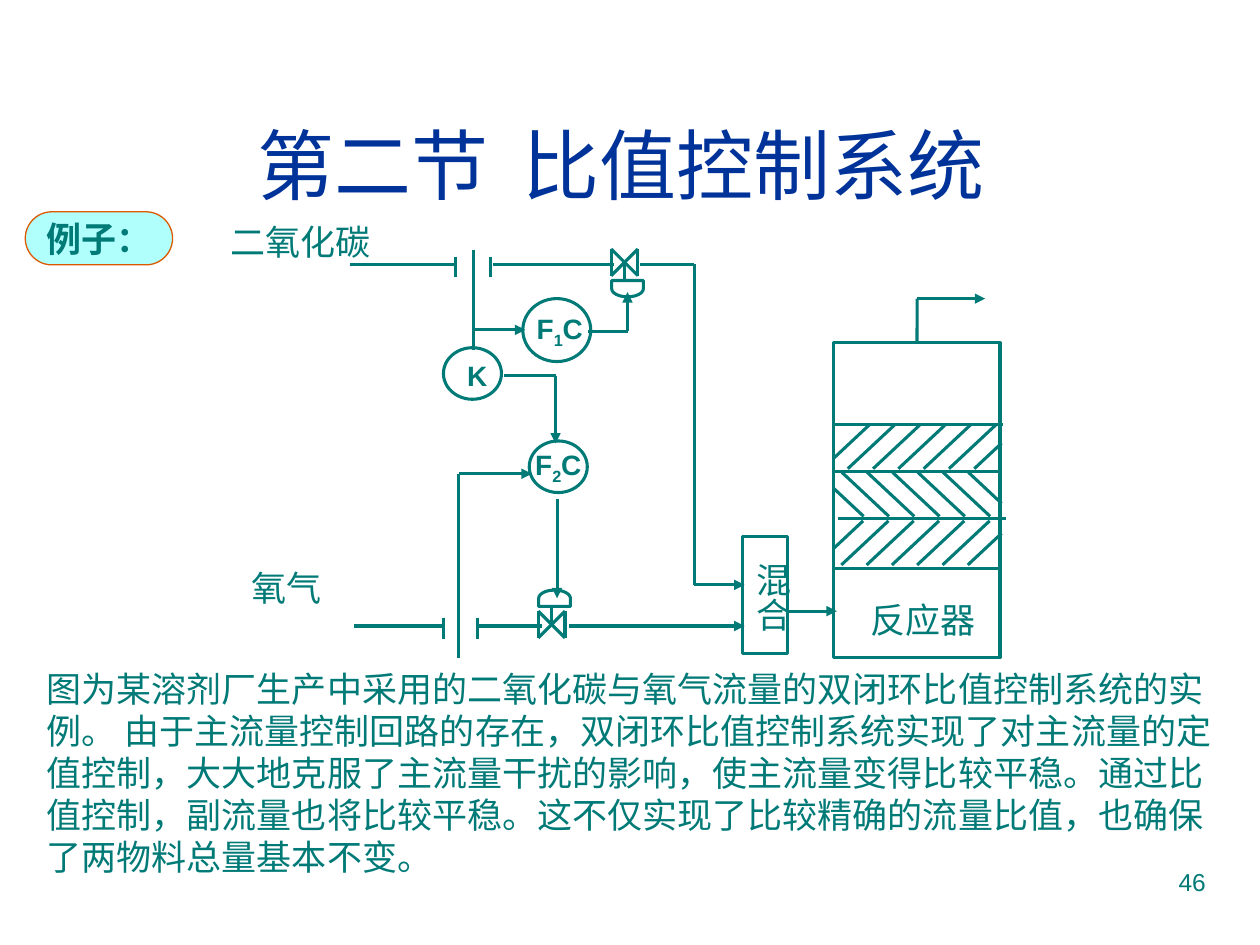
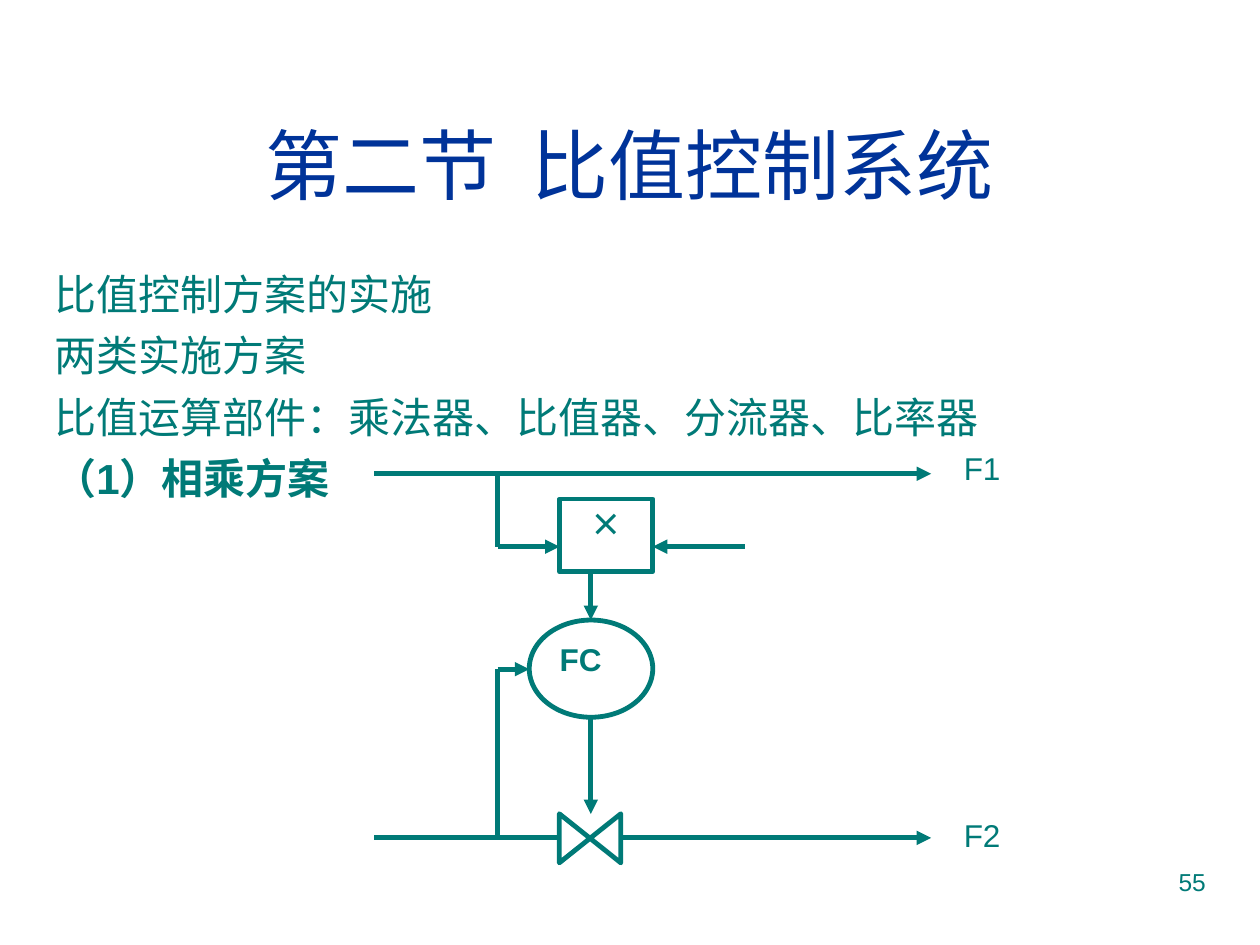
import pptx
import pptx.util
import pptx.dml.color
import pptx.enum.shapes
import pptx.enum.text
import pptx.oxml
import pptx.oxml.ns

Cm, Pt = pptx.util.Cm, pptx.util.Pt
RGB = pptx.dml.color.RGBColor
KIND = pptx.enum.shapes.MSO_SHAPE
ALIGN = pptx.enum.text.PP_ALIGN
ANCHOR = pptx.enum.text.MSO_ANCHOR

TEAL = RGB(0x00, 0x7A, 0x77)
NAVY = RGB(0x00, 0x33, 0x99)
MINT = RGB(0xB1, 0xFF, 0xFD)
RUST = RGB(0xDC, 0x59, 0x00)
WHITE = RGB(0xFF, 0xFF, 0xFF)
LATIN, HAN = "Arial", "Noto Sans CJK SC"
THIN, BOLD = 1.75, 2.75
WALLS = (16.81, 20.19)  # left and right wall of the reactor


def node(tag, **attrs):
    item = pptx.oxml.parse_xml(f"<a:{tag} {pptx.oxml.ns.nsdecls('a')}/>")
    for key, value in attrs.items():
        item.set(key, value)
    return item


def write(frame, *lines, size=20, color=TEAL, bold=(), align=ALIGN.LEFT, anchor=ANCHOR.TOP,
          wrap=True, font=LATIN, sub="", gap=0, pitch=None, plain=False):
    """Fill a text frame; bold lists line numbers, sub is the part set as a subscript."""
    frame.word_wrap = wrap
    frame.auto_size = pptx.enum.text.MSO_AUTO_SIZE.NONE
    frame.vertical_anchor = anchor
    for n, line in enumerate(lines):
        para = frame.add_paragraph() if n else frame.paragraphs[0]
        if plain:
            props = para._p.get_or_add_pPr()
            props.set("marL", "0")
            props.set("indent", "0")
            props.append(node("buNone"))
        para.alignment = align
        para.space_before = Pt(gap if n else 0)
        if pitch:
            para.line_spacing = Pt(pitch)
        for part in line.partition(sub) if sub else [line]:
            run = para.add_run()
            run.text = part
            run.font.size = Pt(size)
            run.font.bold = n in bold
            run.font.color.rgb = color
            run.font.name = font
            props = run._r.get_or_add_rPr()
            props.append(node("ea", typeface=HAN))
            if part == sub:
                props.set("baseline", "-25000")


def label(slide, box, *lines, **style):
    item = slide.shapes.add_textbox(*map(Cm, box))
    write(item.text_frame, *lines, **style)
    return item


def shape(slide, kind, box, width=THIN, fill=None, line=TEAL, turn=0):
    item = slide.shapes.add_shape(kind, *map(Cm, box))
    item.shadow.inherit = False
    if fill is None:
        item.fill.background()
    else:
        item.fill.solid()
        item.fill.fore_color.rgb = fill
    item.line.color.rgb = line
    item.line.width = Pt(width)
    item.rotation = turn % 360
    return item


def pipe(slide, *points, arrow=False, width=THIN):
    """Straight lines through the points; the last may end in an arrowhead."""
    links = []
    for start, end in zip(points, points[1:]):
        link = slide.shapes.add_connector(
            pptx.enum.shapes.MSO_CONNECTOR.STRAIGHT, *map(Cm, start + end))
        link.line.color.rgb = TEAL
        link.line.width = Pt(width)
        link.element.spPr.append(node("effectLst"))
        links.append(link)
    if arrow:
        links[-1].line._get_or_add_ln().append(node("tailEnd", type="triangle"))
    return links


def plates(slide, x, y, tall):
    """The two ticks of an orifice plate."""
    for left in (x, x + 0.69):
        pipe(slide, (left, y), (left, y + tall))


def valve(slide, x, y, side):
    """Control valve; side is 1 with the actuator below, -1 above."""
    span, mid = 0.54, y + 0.27
    for left, right in ((x, x + span), (x + span, x)):
        pipe(slide, (left, y), (left, y + span))
        pipe(slide, (left, y), (right, y + span))
    pipe(slide, (x + span / 2, mid), (x + span / 2, mid + 0.48 * side))
    wide, tall = 0.33, 0.64
    box = (x + 0.33 - wide / 2, mid + 0.53 * side - tall / 2, wide, tall)
    shape(slide, KIND.FLOWCHART_DELAY, box, fill=WHITE, turn=90 * side)


def hatch(slide, x, y, lean):
    """Seven slanted strokes, cut off at the reactor walls."""
    run, drop = 0.95 * lean, 0.89
    for n in range(7):
        start = x + 0.51 * n
        ends = [min(max(edge, WALLS[0]), WALLS[1]) for edge in (start, start + run)]
        pipe(slide, *[(edge, y + drop * (edge - start) / run) for edge in ends])


def page(deck, layout, title, number):
    slide = deck.slides.add_slide(deck.slide_layouts[layout])
    place(slide.shapes.title, (0.84, 1.7, 23.72, 3.18))
    write(slide.shapes.title.text_frame, title, size=44, color=NAVY,
          align=ALIGN.CENTER, anchor=ANCHOR.MIDDLE)
    label(slide, (18.21, 17.35, 6.35, 1.32), number, size=14, align=ALIGN.RIGHT)
    return slide


def place(item, box):
    item.left, item.top, item.width, item.height = map(Cm, box)


def feeds(slide):
    """Both gas lines with their plates and valves."""
    gas, air = 5.33, 12.62
    pipe(slide, (7.06, gas), (9.17, gas))
    plates(slide, 9.19, 5.18, 0.41)
    pipe(slide, (9.93, gas), (12.37, gas))
    valve(slide, 12.32, 5.02, 1)
    pipe(slide, (12.9, gas), (14, gas), (14, 11.79), (15.01, 11.79), arrow=True)
    pipe(slide, (7.14, air), (8.92, air))
    plates(slide, 8.94, 12.45, 0.43)
    pipe(slide, (9.63, air), (10.92, air))
    valve(slide, 10.85, 12.32, -1)
    pipe(slide, (11.48, air), (15.01, air), arrow=True)
    label(slide, (4.39, 4.32, 3.61, 1.12), "二氧化碳")
    label(slide, (4.83, 11.3, 3.61, 1.12), "氧气")


def loops(slide):
    """The two flow controllers and the ratio unit."""
    for box in ((10.54, 6.02, 1.37, 1.27), (10.67, 8.89, 1.17, 1.04), (8.94, 7.01, 1.17, 1.04)):
        shape(slide, KIND.OVAL, box)
    pipe(slide, (9.55, 5.03), (9.55, 7.06))
    for route in (
        [(9.55, 6.65), (10.59, 6.65)],
        [(11.86, 6.68), (12.65, 6.68), (12.65, 5.89)],
        [(10.16, 7.57), (11.2, 7.57), (11.2, 8.94)],
        [(9.25, 13.26), (9.25, 9.55), (10.72, 9.55)],
        [(11.23, 10.06), (11.23, 12.06)],
    ):
        pipe(slide, *route, arrow=True)
    style = dict(size=16, bold=[0], wrap=False)
    label(slide, (10.57, 6.15, 1.42, 1.04), "F1C", sub="1", **style)
    label(slide, (10.54, 8.89, 1.42, 1.04), "F2C", sub="2", **style)
    label(slide, (9.17, 7.11, 0.91, 0.94), "K", **style)


def plant(slide):
    """Mixer and reactor."""
    shape(slide, KIND.RECTANGLE, (14.96, 10.82, 0.91, 2.36))
    mix = label(slide, (14.78, 11.1, 1.35, 2.34), "混合", align=ALIGN.CENTER)
    frame = mix.text_frame
    frame.margin_left = frame.margin_right = Cm(0.13)
    frame.margin_top = frame.margin_bottom = Cm(0.25)
    mix.element.txBody.bodyPr.set("vert", "eaVert")
    pipe(slide, (15.9, 12.32), (16.87, 12.32), arrow=True)
    tank = shape(slide, KIND.RECTANGLE, (WALLS[0], 6.91, 3.35, 6.35))
    rise = pipe(slide, (18.49, 6.91), (18.49, 6.02), (19.86, 6.02), arrow=True)[0]
    rise.begin_connect(tank, 0)
    for shift, y in ((0.03, 8.56), (0, 9.5), (0.08, 10.46), (0, 11.46)):
        pipe(slide, (WALLS[0] + shift, y), (WALLS[1] + shift, y))
    hatch(slide, 17.53, 8.56, -1)
    hatch(slide, 16.46, 9.52, 1)
    hatch(slide, 17.4, 10.5, -1)
    label(slide, (17.3, 11.94, 3.61, 1.12), "反应器")


def sample(deck):
    slide = page(deck, 5, "第二节  比值控制系统 ", "46")
    tag = shape(slide, KIND.ROUNDED_RECTANGLE, (0.51, 4.27, 2.97, 1.07), 0.75, MINT, RUST)
    tag.adjustments[0] = 0.5
    write(tag.text_frame, "例子：", bold=[0], align=ALIGN.CENTER,
          anchor=ANCHOR.MIDDLE, wrap=False)
    feeds(slide)
    loops(slide)
    plant(slide)
    label(slide, (0.69, 13.34, 24.18, 5.28),
          "图为某溶剂厂生产中采用的二氧化碳与氧气流量的双闭环比值控制系统的实例。 "
          "由于主流量控制回路的存在，双闭环比值控制系统实现了对主流量的定值控制，"
          "大大地克服了主流量干扰的影响，使主流量变得比较平稳。通过比值控制，"
          "副流量也将比较平稳。这不仅实现了比较精确的流量比值，也确保了两物料总量基本不变。",
          pitch=24)


def scheme(deck):
    slide = page(deck, 1, "第二节  比值控制系统", "55")
    body = slide.placeholders[1]
    place(body, (0.84, 5.28, 23.72, 5.23))
    write(body.text_frame, "比值控制方案的实施", "两类实施方案",
          "比值运算部件：乘法器、比值器、分流器、比率器", "（1）相乘方案",
          size=24, bold=[3], gap=6, pitch=29, plain=True)

    times = shape(slide, KIND.RECTANGLE, (11.28, 10.06, 1.88, 1.47), BOLD)
    write(times.text_frame, "×", size=18, bold=[0], font=HAN, align=ALIGN.CENTER)
    flow = shape(slide, KIND.OVAL, (10.67, 12.5, 2.49, 1.96), BOLD)
    write(flow.text_frame, "FC", size=18, bold=[0], align=ALIGN.JUSTIFY)

    main_y, side_y, tap, mid = 9.55, 16.89, 10.03, 11.91
    for route in (
        [(7.54, main_y), (18.77, main_y)],
        [(tap, main_y), (tap, 11.02), (11.28, 11.02)],
        [(15.01, 11.02), (13.16, 11.02)],
        [(mid, 11.51), (mid, 12.5)],
        [(7.54, side_y), (18.77, side_y)],
        [(tap, side_y), (tap, 13.49), (10.67, 13.49)],
        [(mid, 14.45), (mid, 16.41)],
    ):
        pipe(slide, *route, arrow=True, width=BOLD)
    shape(slide, KIND.FLOWCHART_COLLATE, (11.4, 16.28, 0.99, 1.24), BOLD, WHITE, turn=90)
    for name, y in (("F1", 8.92), ("F2", 16.33)):
        label(slide, (19.18, y, 2.11, 1.02), name, size=18)


def main():
    deck = pptx.Presentation()
    deck.slide_width, deck.slide_height = Cm(25.4), Cm(19.05)
    sample(deck)
    scheme(deck)
    deck.save("out.pptx")


if __name__ == "__main__":
    main()
